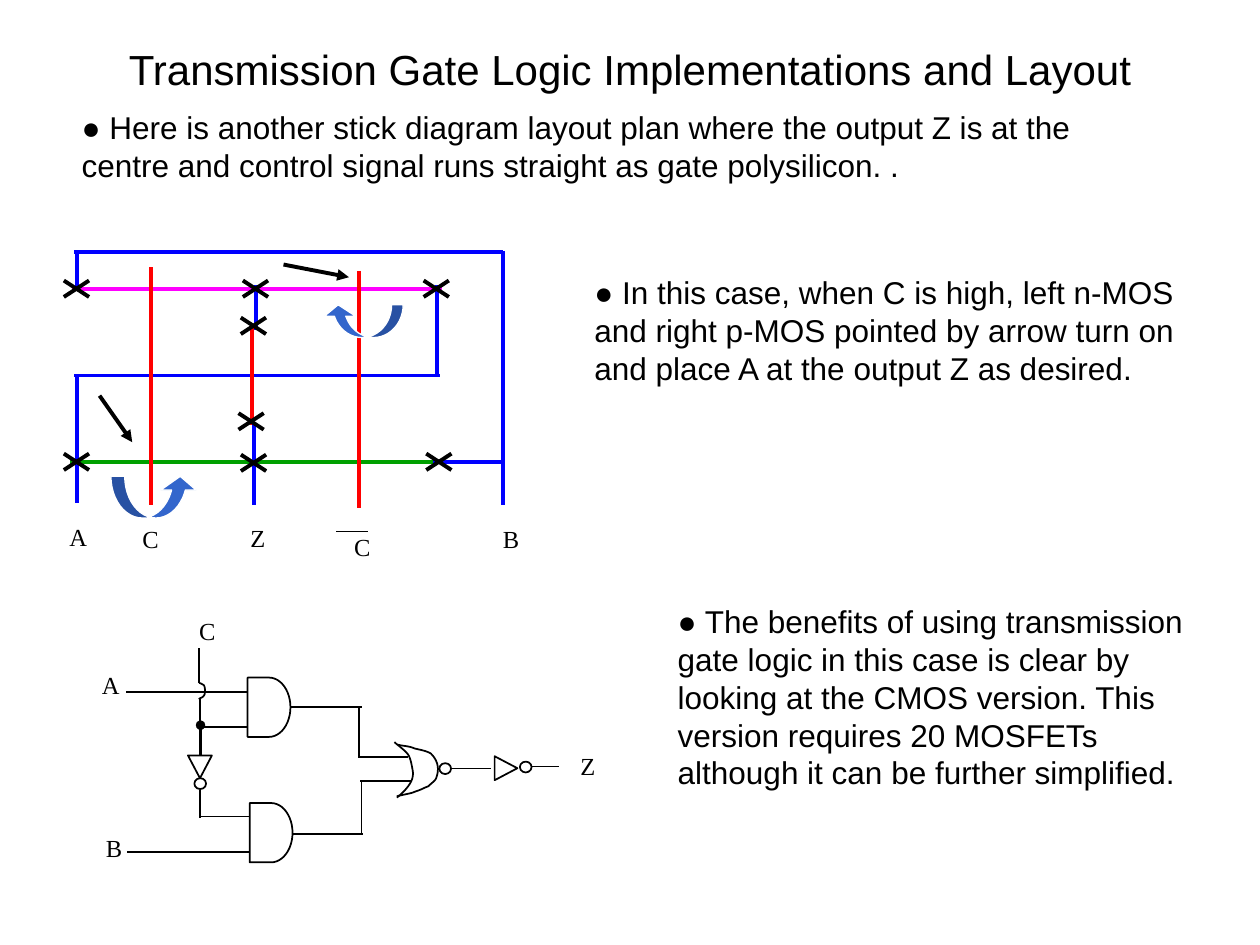
"""Build the slide on transmission gate logic, its stick diagram and its CMOS gate version."""
import pptx
import pptx.dml.color
import pptx.enum.shapes
import pptx.enum.text
import pptx.oxml.ns
import pptx.util
from lxml import etree

Pt = pptx.util.Pt
RGBColor = pptx.dml.color.RGBColor
MSO_SHAPE = pptx.enum.shapes.MSO_SHAPE
PP_ALIGN = pptx.enum.text.PP_ALIGN
MSO_ANCHOR = pptx.enum.text.MSO_ANCHOR

BLACK = RGBColor(0x00, 0x00, 0x00)
WHITE = RGBColor(0xFF, 0xFF, 0xFF)
METAL_BLUE = RGBColor(0x00, 0x00, 0xFF)
POLY_RED = RGBColor(0xFF, 0x00, 0x00)
P_MAGENTA = RGBColor(0xFF, 0x00, 0xFF)
N_GREEN = RGBColor(0x00, 0xA0, 0x00)
ARROW_BLUE = RGBColor(0x33, 0x66, 0xCC)
STICK_WIDTH = 2.25
WIRE_WIDTH = 1

presentation = pptx.Presentation()
presentation.slide_width = Pt(720)
presentation.slide_height = Pt(540)
slide = presentation.slides.add_slide(presentation.slide_layouts[5])


def add_line(x1, y1, x2, y2, color, width, arrow=False):
    """Draw a straight line without shadow, with an arrowhead if asked."""
    line = slide.shapes.add_connector(
        pptx.enum.shapes.MSO_CONNECTOR.STRAIGHT, Pt(x1), Pt(y1), Pt(x2), Pt(y2))
    line.line.color.rgb = color
    line.line.width = Pt(width)
    if arrow:
        etree.SubElement(line.line._get_or_add_ln(), pptx.oxml.ns.qn("a:tailEnd"), type="triangle")
    etree.SubElement(line._element.spPr, pptx.oxml.ns.qn("a:effectLst"))


def add_shape(kind, left, top, width, height, fill=WHITE, outline=BLACK, line_width=WIRE_WIDTH):
    """Draw a filled and outlined preset shape without shadow."""
    shape = slide.shapes.add_shape(kind, Pt(left), Pt(top), Pt(width), Pt(height))
    shape.shadow.inherit = False
    shape.fill.solid()
    shape.fill.fore_color.rgb = fill
    shape.line.color.rgb = outline
    shape.line.width = Pt(line_width)
    return shape


title = slide.shapes.title
title.left, title.top, title.width, title.height = Pt(26), Pt(21), Pt(668), Pt(36)
title.text_frame.text = "Transmission Gate Logic Implementations and Layout"
title.text_frame.vertical_anchor = MSO_ANCHOR.MIDDLE
paragraph = title.text_frame.paragraphs[0]
paragraph.alignment = PP_ALIGN.CENTER
paragraph.font.name = "Arial"
paragraph.font.size = Pt(24)
paragraph.font.color.rgb = BLACK

notes = [
    (39.6, 58.3, 628, 50.4, "● Here is another stick diagram layout plan where the output Z is at the "
     "centre and control signal runs straight as gate polysilicon. ."),
    (332.6, 152.6, 359.3, 72, "● In this case, when C is high, left n-MOS and right p-MOS pointed by "
     "arrow turn on and place A at the output Z as desired."),
    (380.2, 340.6, 319, 115.2, "● The benefits of using transmission gate logic in this case is clear by "
     "looking at the CMOS version. This version requires 20 MOSFETs although it can be further simplified."),
]
for left, top, width, height, text in notes:
    box = slide.shapes.add_textbox(Pt(left), Pt(top), Pt(width), Pt(height))
    box.text_frame.word_wrap = True
    box.text_frame.text = text
    paragraph = box.text_frame.paragraphs[0]
    paragraph.font.name = "Arial"
    paragraph.font.size = Pt(18)
    paragraph.font.color.rgb = BLACK

sticks = [
    (41, 164.9, 252.7, 164.9, P_MAGENTA),
    (40.3, 264.2, 252, 264.2, N_GREEN),
    (42.5, 214.6, 251.3, 214.6, METAL_BLUE),
    (249.8, 214.6, 249.8, 162.7, METAL_BLUE),
    (43.9, 287.3, 43.9, 213.8, METAL_BLUE),
    (86.4, 152.6, 86.4, 288.7, POLY_RED),
    (205.2, 154.8, 205.2, 290.2, POLY_RED),
    (43.9, 166.3, 43.9, 143.3, METAL_BLUE),
    (42.5, 144, 287.3, 144, METAL_BLUE),
    (287.3, 143.3, 287.3, 288.7, METAL_BLUE),
    (144, 185.8, 144, 242.6, POLY_RED),
    (146.2, 188.6, 146.2, 162.7, METAL_BLUE),
    (145.4, 241.2, 145.4, 288.7, METAL_BLUE),
    (247.7, 264.2, 287.3, 264.2, METAL_BLUE),
]
for x1, y1, x2, y2, color in sticks:
    add_line(x1, y1, x2, y2, color, STICK_WIDTH)

contacts = [(43.7, 165), (146, 165), (249.3, 165), (144.8, 186.2),
            (143.5, 240.8), (250.8, 263.9), (43.7, 263.9), (144.9, 264.5)]
for x, y in contacts:
    for rise in (4.7, -4.7):
        add_line(x - 7.2, y + rise, x + 7.2, y - rise, BLACK, STICK_WIDTH)

add_line(192.2, 303.8, 210.2, 303.8, BLACK, WIRE_WIDTH)
add_line(56.9, 226.1, 75.6, 252.7, BLACK, STICK_WIDTH, arrow=True)
add_line(162, 151.2, 199.4, 158.4, BLACK, STICK_WIDTH, arrow=True)

turn_arrows = [
    (63.4, 272.2, 49.7, 23.8, (0.33, 0.85, 0.33), False),
    (184.3, 174.2, 46.1, 18.7, (0.35, 0.96, 0.35), True),
]
for left, top, width, height, adjustments, flipped in turn_arrows:
    turn_arrow = add_shape(MSO_SHAPE.CURVED_UP_ARROW, left, top, width, height, ARROW_BLUE, WHITE, 0.75)
    for index, value in enumerate(adjustments):
        turn_arrow.adjustments[index] = value
    if flipped:
        turn_arrow._element.spPr.xfrm.set("flipH", "1")

wires = [
    (141.1, 395.3, 72, 395.3), (141.1, 415.4, 114.5, 415.4), (206.6, 404.1, 165.6, 404.1),
    (142.6, 466.6, 113.8, 466.6), (142.6, 486.7, 72.7, 486.7), (207.4, 476.6, 166.3, 476.6),
    (233.3, 432.7, 204.5, 432.7), (235.4, 446.4, 205.9, 446.4), (205.2, 403.9, 205.2, 432),
    (206.6, 446.4, 206.6, 476.6), (257.8, 439.2, 280.8, 439.2), (303.1, 438, 319.7, 438),
    (114.5, 467.3, 114.5, 451.4), (114.5, 415.4, 114.5, 398.9), (113.8, 390.2, 113.8, 370.1),
]
for x1, y1, x2, y2 in wires:
    add_line(x1, y1, x2, y2, BLACK, WIRE_WIDTH)
add_line(114.5, 415, 114.5, 431.3, BLACK, 1.75)

for left, top in ((141.5, 387.2), (142.7, 458.9)):
    add_shape(MSO_SHAPE.FLOWCHART_DELAY, left, top, 24.5, 33.9)
for left, top, rotation in ((107.4, 431.7, 180), (282.3, 432.5, 90)):
    add_shape(MSO_SHAPE.ISOSCELES_TRIANGLE, left, top, 13.7, 13).rotation = rotation
for left, top in ((251.1, 436.1), (297.1, 435.2), (111.1, 444.7)):
    add_shape(MSO_SHAPE.OVAL, left, top, 6.7, 6.2)
add_shape(MSO_SHAPE.OVAL, 112, 411.8, 5.2, 5.2, BLACK, BLACK, 0.1)

curves = [
    [(227.5, 425.5), (229, 426.2), (234, 426.2), (236.9, 427.7), (239.8, 428.4), (244, 429.1),
     (246.2, 430.6), (248.4, 432.7), (250, 435.6), (250.2, 438.5), (250.4, 440.6), (250, 442.8),
     (249.1, 445), (248.4, 446.4), (246.2, 447.8), (244.8, 449.3), (242.6, 450), (240.5, 451.4),
     (237.6, 452.2), (234.7, 453.6), (229, 454.3), (226.8, 455)],
    [(225.4, 424.1), (226.8, 425.5), (231.1, 428.4), (233.3, 431.3), (234.7, 433.4), (235.4, 437.8),
     (235.9, 440.6), (236.2, 442.8), (235.9, 445), (234.7, 447.1), (233.3, 450), (229, 454.3),
     (226.8, 455.8)],
    [(113.8, 390.2), (113.8, 390.2), (115.9, 391), (116.6, 391.7), (117.4, 393.1), (117.4, 396.7),
     (116.6, 397.4), (115.9, 398.9), (113.8, 398.9), (113.8, 399.6)],
]
for curve in curves:
    points = []
    for start in range(0, len(curve) - 1, 3):
        a, b, c, d = curve[start:start + 4]
        for t in (step / 8 for step in range(9)):
            points.append(tuple(
                Pt((1 - t) ** 3 * a[i] + 3 * (1 - t) ** 2 * t * b[i]
                   + 3 * (1 - t) * t ** 2 * c[i] + t ** 3 * d[i]) for i in (0, 1)))
    builder = slide.shapes.build_freeform(*points[0])
    builder.add_line_segments(points[1:], close=False)
    outline = builder.convert_to_shape()
    outline.shadow.inherit = False
    outline.fill.background()
    outline.line.color.rgb = BLACK
    outline.line.width = Pt(WIRE_WIDTH)

labels = [
    ("A", 39.6, 298.1), ("C", 81.4, 299.5), ("Z", 142.6, 298.8), ("B", 287.3, 299.5), ("C", 202.3, 303.8),
    ("A", 58.3, 383), ("B", 60.5, 475.9), ("C", 113.8, 352.1), ("Z", 331.2, 429.1),
]
for text, left, top in labels:
    label = slide.shapes.add_textbox(Pt(left), Pt(top), Pt(9.4), Pt(16.6))
    frame = label.text_frame
    frame.margin_left = frame.margin_top = frame.margin_right = frame.margin_bottom = 0
    frame.word_wrap = False
    frame.text = text
    paragraph = frame.paragraphs[0]
    paragraph.alignment = PP_ALIGN.CENTER
    paragraph.font.name = "Times New Roman"
    paragraph.font.size = Pt(14)
    paragraph.font.color.rgb = BLACK

presentation.save("out.pptx")
